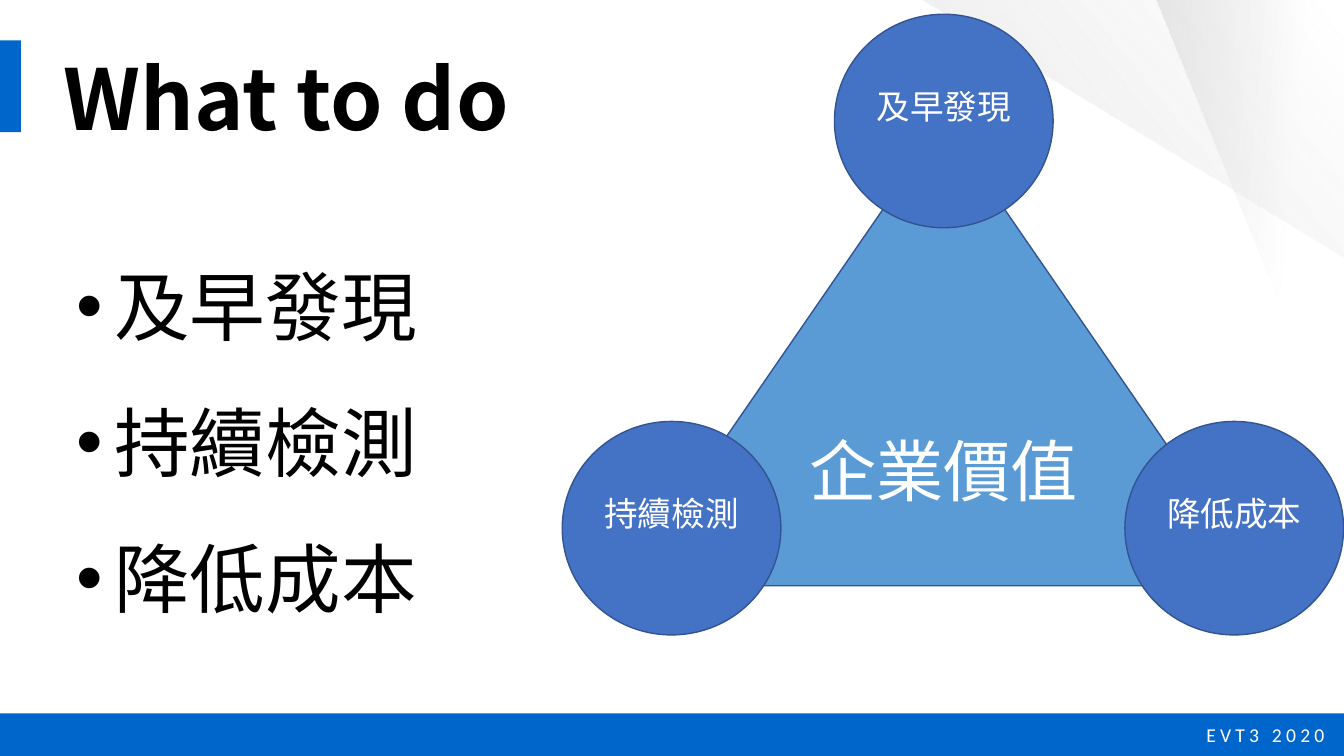
from lxml import etree
from pptx import Presentation
from pptx.dml.color import RGBColor
from pptx.enum import shapes, text
from pptx.oxml.ns import qn
from pptx.util import Cm, Pt

SLIDE_W, SLIDE_H = 33.87, 19.05
BLUE = RGBColor(0x00, 0x66, 0xCC)
SKY = RGBColor(0x5B, 0x9B, 0xD5)
INDIGO = RGBColor(0x44, 0x72, 0xC4)
OUTLINE = RGBColor(0x32, 0x54, 0x91)
GREY = RGBColor(0xD9, 0xD9, 0xD9)
WHITE = RGBColor(0xFF, 0xFF, 0xFF)
BLACK = RGBColor(0x00, 0x00, 0x00)
CJK, LATIN = "Noto Sans CJK SC", "Calibri"

TITLE = "What to do"
GOALS = ["及早發現", "持續檢測", "降低成本"]
CORE = "企業價值"
FOOTER = "EVT3 2020"

# Outline in cm, clockwise gradient angle, stops of (position, opacity %)
BEAMS = [
    ([(29.16, 0), (SLIDE_W, 0), (SLIDE_W, 11.66)], 5, [(0, 60), (0.66, 0)]),
    ([(23.22, 0), (SLIDE_W, 0), (SLIDE_W, 6.5)], 141, [(0.04, 0), (0.69, 38)]),
]
CIRCLE_W, CIRCLE_H = 5.51, 5.38
CIRCLE_SPOTS = [(21.03, 0.36), (14.17, 10.62), (28.35, 10.62)]
TRIANGLE = (15.72, 3.05, 16.13, 11.71)


def add_run(p, words, size, color, font=CJK, bold=False):
    r = p.add_run()
    r.text = words
    f = r.font
    f.name, f.size, f.bold = font, Pt(size), bold
    f.color.rgb = color
    etree.SubElement(r._r.get_or_add_rPr(), qn("a:ea"), typeface=font)
    return r


def add_solid(kind, box, fill, line=None):
    s = slide.shapes.add_shape(kind, *map(Cm, box))
    s.shadow.inherit = False
    s.fill.solid()
    s.fill.fore_color.rgb = fill
    if line is None:
        s.line.fill.background()
    else:
        s.line.color.rgb = line
        s.line.width = Pt(1)
    return s


def add_label(s, words, size, bottom=0.13):
    """Centre white text in a shape; a larger bottom inset raises it."""
    tf = s.text_frame
    tf.word_wrap = True
    tf.margin_left = tf.margin_right = 0
    tf.margin_bottom = Cm(bottom)
    tf.vertical_anchor = text.MSO_ANCHOR.MIDDLE
    p = tf.paragraphs[0]
    p.alignment = text.PP_ALIGN.CENTER
    add_run(p, words, size, WHITE)


def add_text_frame(box, wrap=False):
    tf = slide.shapes.add_textbox(*map(Cm, box)).text_frame
    tf.word_wrap = wrap
    return tf


def add_beam(points, angle, stops):
    corners = [(Cm(x), Cm(y)) for x, y in points]
    builder = slide.shapes.build_freeform(*corners[0])
    builder.add_line_segments(corners[1:], close=True)
    s = builder.convert_to_shape()
    s.shadow.inherit = False
    s.line.fill.background()
    s.fill.gradient()
    s.fill.gradient_angle = 360 - angle
    for stop, (position, _) in zip(s.fill.gradient_stops, stops):
        stop.position = position
        stop.color.rgb = GREY
    colors = s._element.spPr.iter(qn("a:srgbClr"))
    for color, (_, opacity) in zip(list(colors), stops):
        etree.SubElement(color, qn("a:alpha"), val=str(opacity * 1000))


def add_bullet(p, indent):
    pPr = p._p.get_or_add_pPr()
    pPr.set("marL", str(Cm(indent)))
    pPr.set("indent", str(-Cm(indent)))
    etree.SubElement(pPr, qn("a:buFont"), typeface="Arial")
    etree.SubElement(pPr, qn("a:buChar"), char="•")


prs = Presentation()
prs.slide_width, prs.slide_height = Cm(SLIDE_W), Cm(SLIDE_H)
slide = prs.slides.add_slide(prs.slide_layouts[6])
kinds = shapes.MSO_SHAPE

# Background and footer
add_solid(kinds.RECTANGLE, (0, 17.98, SLIDE_W, SLIDE_H - 17.98), BLUE)
for beam in BEAMS:
    add_beam(*beam)
add_solid(kinds.RECTANGLE, (0, 1.02, 0.53, 2.31), BLUE)
tf = add_text_frame((30.15, 18.08, 3.51, 0.86))
r = add_run(tf.paragraphs[0], FOOTER, 14, WHITE, LATIN)
r._r.get_or_add_rPr().set("spc", "300")

# Triangle of goals
add_label(add_solid(kinds.ISOSCELES_TRIANGLE, TRIANGLE, SKY, OUTLINE), CORE, 48)
for goal, spot in zip(GOALS, CIRCLE_SPOTS):
    s = add_solid(kinds.FLOWCHART_CONNECTOR, (*spot, CIRCLE_W, CIRCLE_H), INDIGO, OUTLINE)
    add_label(s, goal, 24, bottom=0.89)

# Title and bullet list
tf = add_text_frame((1.35, 1.04, 12.09, 2.82))
add_run(tf.paragraphs[0], TITLE, 60, BLACK, bold=True)
tf = add_text_frame((1.68, 5.28, 23.52, 10.26), wrap=True)
for i, goal in enumerate(GOALS):
    p = tf.add_paragraph() if i else tf.paragraphs[0]
    p.line_spacing = 1.5
    add_bullet(p, 0.95)
    add_run(p, goal, 54, BLACK)

prs.save("out.pptx")
